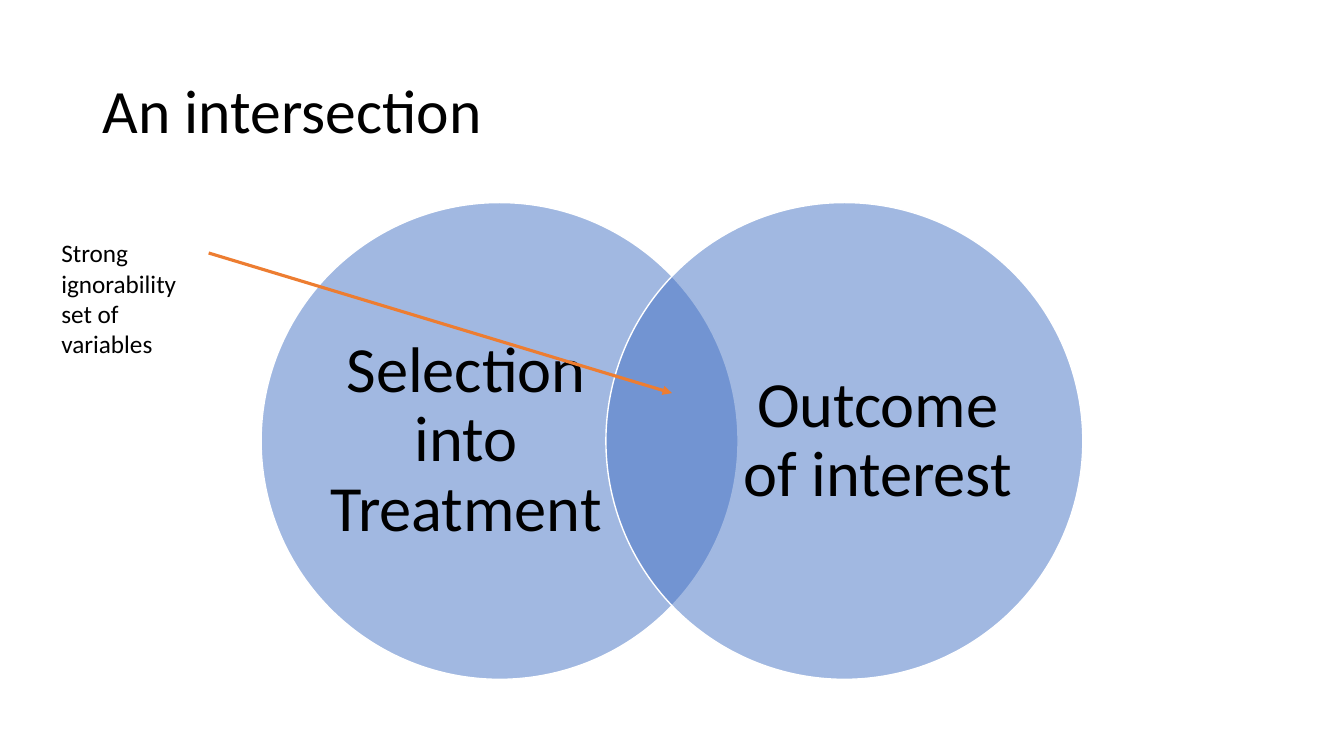
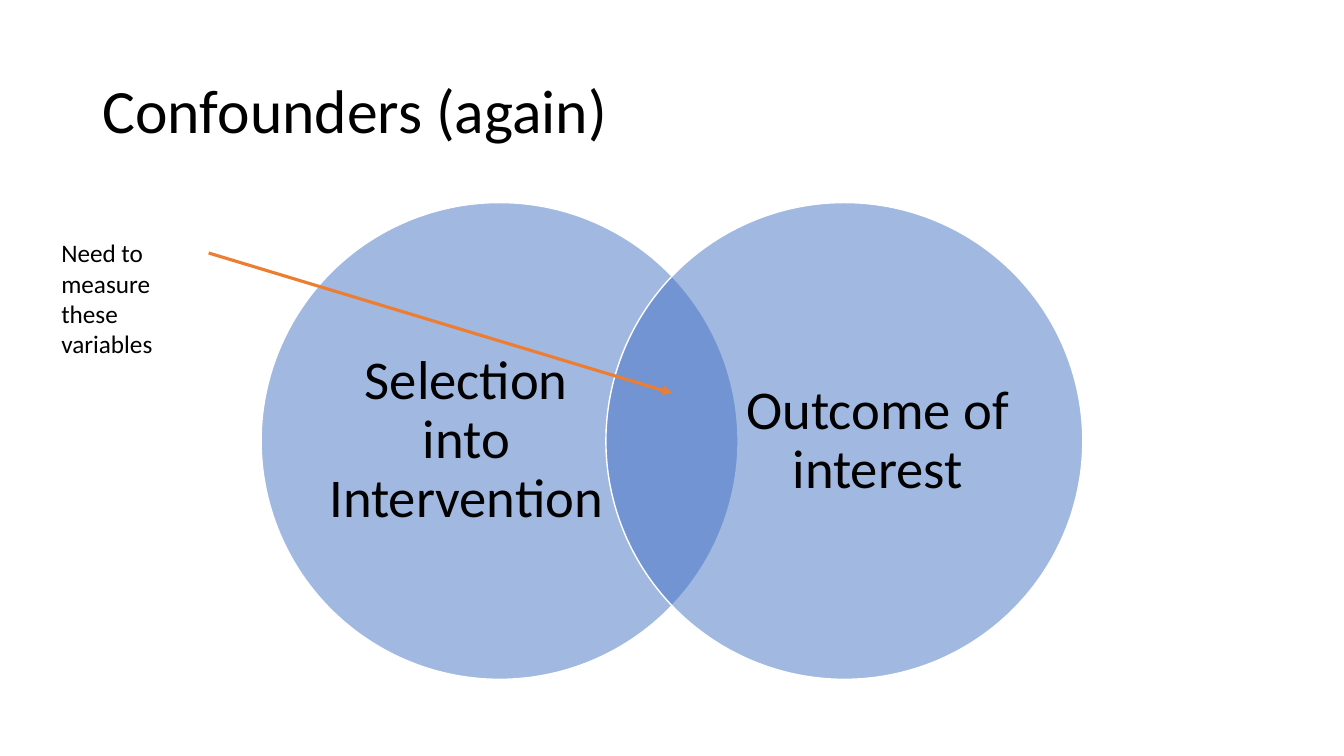
from pptx import Presentation, util as u
from pptx.dml.color import RGBColor
from pptx.enum import shapes, text
from pptx.oxml.ns import qn
from lxml import etree

FONT = "Calibri"
COLORS = {"ink": "000000", "disc": "4472C4", "rim": "FFFFFF", "arrow": "ED7D31"}
TITLE = (0.92, 0.4, 11.5, 1.45)
VENN = (2.59, 2.01, 8.15, 4.73)
NOTE = (0.51, 2.31, 1.37, 1.31)
SLIDES = [
    ("An intersection", "Strong ignorability set of variables",
     ("Selection into Treatment", "Outcome of interest"), 46),
    ("Confounders (again)", "Need to measure these variables",
     ("Selection into Intervention", "Outcome of interest"), 39),
]


def color(name):
    return RGBColor.from_string(COLORS[name])


def add_text(slide, box, words, size, align=text.PP_ALIGN.LEFT,
             anchor=text.MSO_ANCHOR.MIDDLE, spacing=0.9, inset=None):
    frame = slide.shapes.add_textbox(*map(u.Inches, box)).text_frame
    frame.word_wrap = True
    frame.vertical_anchor = anchor
    if inset is not None:
        frame.margin_left = frame.margin_right = u.Inches(inset)
        frame.margin_top = frame.margin_bottom = u.Inches(inset)
    para = frame.paragraphs[0]
    para.alignment = align
    para.line_spacing = spacing
    run = para.add_run()
    run.text = words
    run.font.name = FONT
    run.font.size = u.Pt(size)
    run.font.color.rgb = color("ink")
    return frame


def add_disc(slide, left, top, side):
    disc = slide.shapes.add_shape(shapes.MSO_SHAPE.OVAL,
                                  *map(u.Inches, (left, top, side, side)))
    disc.shadow.inherit = False
    disc.fill.solid()
    disc.fill.fore_color.rgb = color("disc")
    disc.line.color.rgb = color("rim")
    disc.line.width = u.Pt(1)
    # Half transparent, so the overlap shows darker
    tint = disc.fill._xPr.find(qn("a:solidFill"))[0]
    etree.SubElement(tint, qn("a:alpha")).set("val", "50000")


def add_venn(slide, box, labels, size):
    left, top, width, side = box
    wide, high = 2.73, 3.62
    pad = 0.67  # gap from the outer rim to its label
    spots = [(left, left + pad),
             (left + width - side, left + width - pad - wide)]
    for (disc_x, label_x), label in zip(spots, labels):
        add_disc(slide, disc_x, top, side)
        add_text(slide, (label_x, top + (side - high) / 2, wide, high), label,
                 size, text.PP_ALIGN.CENTER, inset=0)


def add_arrow(slide, start, end):
    arrow = slide.shapes.add_connector(shapes.MSO_CONNECTOR.STRAIGHT,
                                       *map(u.Inches, start + end))
    arrow.line.color.rgb = color("arrow")
    arrow.line.width = u.Pt(2.25)
    etree.SubElement(arrow.line._get_or_add_ln(), qn("a:tailEnd")).set("type", "triangle")
    etree.SubElement(arrow._element.spPr, qn("a:effectLst"))


def add_note(slide, box, words):
    # Side note with an arrow into the overlap
    left, top, width, _ = box
    start = (left + width + 0.19, top + 0.2)
    add_arrow(slide, start, (VENN[0] + VENN[2] / 2, start[1] + 1.39))
    frame = add_text(slide, box, words, 18, anchor=text.MSO_ANCHOR.TOP, spacing=1.0)
    frame.auto_size = text.MSO_AUTO_SIZE.SHAPE_TO_FIT_TEXT


def add_slide(deck, title, note, labels, size):
    slide = deck.slides.add_slide(deck.slide_layouts[6])
    add_text(slide, TITLE, title, 44)
    add_venn(slide, VENN, labels, size)
    add_note(slide, NOTE, note)


def main():
    deck = Presentation()
    deck.slide_width = u.Inches(13.33)
    deck.slide_height = u.Inches(7.5)
    for content in SLIDES:
        add_slide(deck, *content)
    deck.save("out.pptx")


if __name__ == "__main__":
    main()
